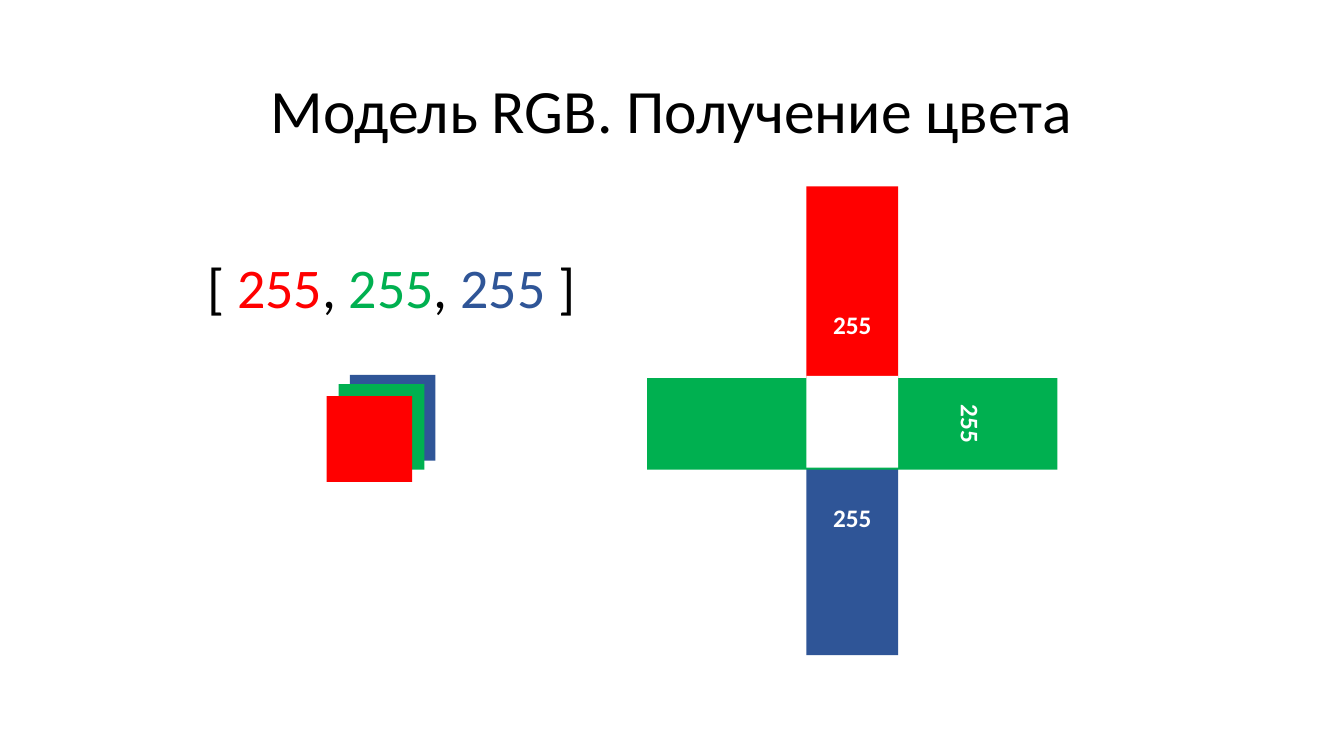
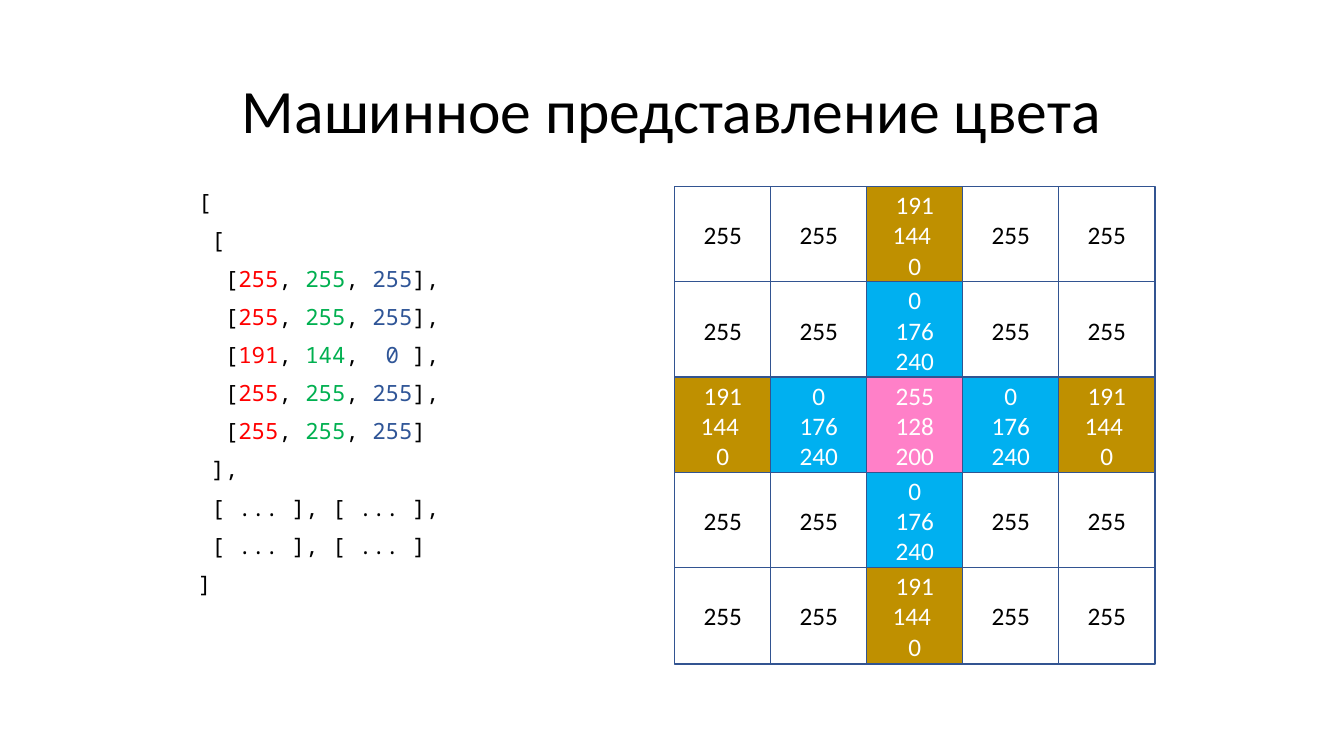
"""Build two slides on the RGB model: mixing a colour and storing it as numbers."""
from itertools import cycle

from pptx import Presentation
from pptx.dml.color import RGBColor
from pptx.enum.shapes import MSO_SHAPE
from pptx.enum.text import MSO_ANCHOR, MSO_AUTO_SIZE, PP_ALIGN
from pptx.util import Emu, Pt

RECT = MSO_SHAPE.RECTANGLE
TOP, MIDDLE = MSO_ANCHOR.TOP, MSO_ANCHOR.MIDDLE
CENTER = PP_ALIGN.CENTER
FIXED = MSO_AUTO_SIZE.NONE

HEX = {
    "black": "000000", "white": "FFFFFF", "red": "FF0000", "green": "00B050",
    "blue": "2F5597", "gold": "BF9000", "sky": "00B0F0", "pink": "FF80C8",
    "edge": "325491",
}
RGB = {name: RGBColor.from_string(code) for name, code in HEX.items()}
SANS, MONO = "Calibri", "Noto Sans Mono"
INKS = ["black", "red", "black", "green", "black", "blue"]

deck = Presentation()
deck.slide_width, deck.slide_height = Emu(12192000), Emu(6858000)
UNIT = deck.slide_width / 160


def grid(*cells):
    """Turn cells of the 160 by 90 grid into lengths."""
    return [Emu(round(cell * UNIT)) for cell in cells]


def style(para, size, ink="black", bold=False, font=SANS):
    """Format every run of a paragraph."""
    for run in para.runs:
        run.font.name, run.font.size, run.font.bold = font, Pt(size), bold
        run.font.color.rgb = RGB[ink]


slides = []
for name in ["Модель RGB. Получение цвета", "Машинное представление цвета"]:
    slide = deck.slides.add_slide(deck.slide_layouts[5])
    title = slide.shapes.title
    title.left, title.top, title.width, title.height = grid(11, 4.8, 138, 17.4)
    frame = title.text_frame
    frame.text = name
    frame.auto_size, frame.vertical_anchor = FIXED, MIDDLE
    para = frame.paragraphs[0]
    para.alignment, para.line_spacing = CENTER, 0.9
    style(para, 44)
    slides.append(slide)
mix, code = slides

SIDE, BAR = 10.2, 10.92
blocks = [
    (mix, 41.64, 44.64, SIDE, SIDE, 0, "blue", "", "white", None),
    (mix, 40.32, 45.72, SIDE, SIDE, 0, "green", "", "white", None),
    (mix, 38.88, 47.16, SIDE, SIDE, 0, "red", "", "white", None),
    (mix, 96, 22.2, BAR, 32.76, 0, "red", "255", "white", None),
    (mix, 96, 45.24, BAR, 32.76, 0, "blue", "255", "white", None),
    (mix, 96, 26.04, BAR, 48.84, 90, "green", "255", "white", None),
    (mix, 96, 44.76, BAR, BAR, 0, "white", "", "white", None),
]

KINDS = {
    "w": ("white", "255", "black"),
    "g": ("gold", "191 144 \v0", "white"),
    "s": ("sky", "0\v176 240", "white"),
    "p": ("pink", "255 128 200", "white"),
}
for row, line in enumerate(["wwgww", "wwsww", "gspsg", "wwsww", "wwgww"]):
    for col, kind in enumerate(line):
        x, y = 80.28 + 11.43 * col, 22.2 + 11.34 * row
        blocks.append((code, x, y, 11.52, 11.52, 0, *KINDS[kind], "edge"))

for slide, x, y, wide, high, turn, fill, text, ink, edge in blocks:
    block = slide.shapes.add_shape(RECT, *grid(x, y, wide, high))
    block.shadow.inherit = False
    block.rotation = turn
    block.fill.solid()
    block.fill.fore_color.rgb = RGB[fill]
    if edge:
        block.line.color.rgb, block.line.width = RGB[edge], Pt(1)
    else:
        block.line.fill.background()
    if text:
        frame = block.text_frame
        frame.text, frame.word_wrap = text, True
        frame.vertical_anchor = MIDDLE
        if turn:
            frame.vertical_anchor = TOP
            frame.margin_top = grid(8.5)[0]
        frame.paragraphs[0].alignment = CENTER
        style(frame.paragraphs[0], 18, ink, bold=slide is mix)

PIXEL = "  [|255|, |255|, |255|]"
lines = [
    "[", " [", PIXEL + ",", PIXEL + ",", "  [|191|, |144|,  |0| ],", PIXEL + ",",
    PIXEL, " ],", " [ ... ], [ ... ],", " [ ... ], [ ... ]", "]",
]
texts = [
    (mix, (23.52, 29.52, 46.68, 9.24), SANS, 40, 1, 0, ["[ |255|, |255|, |255| ]"]),
    (code, (22.4, 22.2, 45.7, 57.1), MONO, 16, 0.9, 10, lines),
]
for slide, area, font, size, space, gap, rows in texts:
    frame = slide.shapes.add_textbox(*grid(*area)).text_frame
    frame.word_wrap = slide is code
    for num, row in enumerate(rows):
        para = frame.add_paragraph() if num else frame.paragraphs[0]
        para.line_spacing, para.space_before = space, Pt(gap)
        for part in row.split("|"):
            para.add_run().text = part
        style(para, size, font=font)
        for run, ink in zip(para.runs, cycle(INKS)):
            run.font.color.rgb = RGB[ink]

deck.save("out.pptx")
